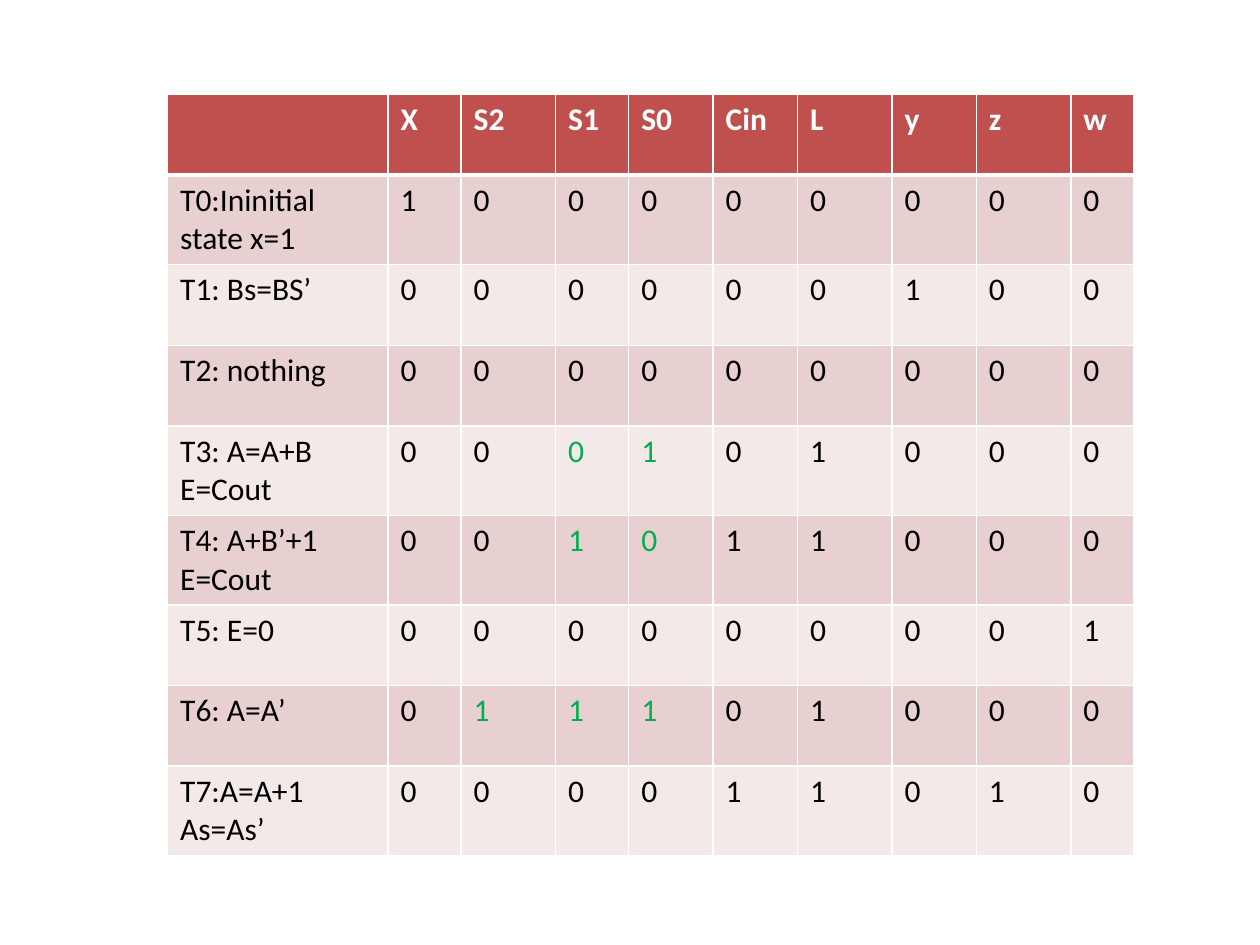
from dataclasses import dataclass

from lxml.etree import SubElement
from pptx import Presentation
from pptx.dml.color import RGBColor
from pptx.oxml.ns import qn
from pptx.util import Inches, Pt


@dataclass(frozen=True)
class Theme:
    font: str = "Calibri"
    size: int = 18
    header: str = "C0504D"
    bands: tuple = ("E8D0D0", "F4E9E9")
    light: str = "FFFFFF"
    dark: str = "000000"
    accent: str = "00B050"
    thin: int = 1
    thick: int = 3


class SlideBuilder:
    def __init__(self, deck, theme):
        self.theme = theme
        self.page = deck.slides.add_slide(deck.slide_layouts[6])

    def table(self, left, top, widths, row_height, rows, accents):
        frame = self.page.shapes.add_table(
            len(rows), len(widths), Inches(left), Inches(top),
            Inches(sum(widths)), Inches(row_height * len(rows)))
        table = frame.table
        for column, width in zip(table.columns, widths):
            column.width = Inches(width)
        for row_index, texts in enumerate(rows):
            table.rows[row_index].height = Inches(row_height)
            for column_index, text in enumerate(texts):
                accented = (row_index, column_index) in accents
                self.cell(table.cell(row_index, column_index), text, row_index, accented)

    def cell(self, cell, text, row_index, accented):
        theme = self.theme
        is_header = row_index == 0
        self.borders(cell, row_index)
        cell.fill.solid()
        fill = theme.header if is_header else theme.bands[(row_index - 1) % 2]
        cell.fill.fore_color.rgb = RGBColor.from_string(fill)
        color = theme.light if is_header else theme.accent if accented else theme.dark
        frame = cell.text_frame
        for line_index, line in enumerate(text.splitlines()):
            para = frame.add_paragraph() if line_index else frame.paragraphs[0]
            span = para.add_run()
            span.text = line
            span.font.name = theme.font
            span.font.size = Pt(theme.size)
            span.font.bold = is_header
            span.font.color.rgb = RGBColor.from_string(color)

    def borders(self, cell, row_index):
        theme = self.theme
        top = theme.thick if row_index == 1 else theme.thin
        bottom = theme.thick if row_index == 0 else theme.thin
        properties = cell._tc.get_or_add_tcPr()
        sides = {"L": theme.thin, "R": theme.thin, "T": top, "B": bottom}
        for side, width in sides.items():
            line = SubElement(properties, qn(f"a:ln{side}"), w=str(Pt(width)))
            fill = SubElement(line, qn("a:solidFill"))
            SubElement(fill, qn("a:srgbClr"), val=theme.light)


SIGNALS = ["", "X", "S2", "S1", "S0", "Cin", "L", "y", "z", "w"]
STATES = [
    ("T0:Ininitial state x=1", "100000000"),
    ("T1: Bs=BS’", "000000100"),
    ("T2: nothing", "000000000"),
    ("T3: A=A+B\nE=Cout", "000101000"),
    ("T4: A+B’+1\nE=Cout", "001011000"),
    ("T5: E=0", "000000001"),
    ("T6: A=A’", "011101000"),
    ("T7:A=A+1\nAs=As’", "000011010"),
]
SELECT_BITS = {(4, 3), (4, 4), (5, 3), (5, 4), (7, 2), (7, 3), (7, 4)}
WIDTHS = [1.75, 0.58, 0.75, 0.58, 0.67, 0.67, 0.75, 0.67, 0.75, 0.5]

deck = Presentation()
deck.slide_width = Inches(10)
deck.slide_height = Inches(7.5)

builder = SlideBuilder(deck, Theme())
control_rows = [SIGNALS] + [[state, *bits] for state, bits in STATES]
builder.table(1.33, 0.75, WIDTHS, 0.64, control_rows, SELECT_BITS)

deck.save("out.pptx")
